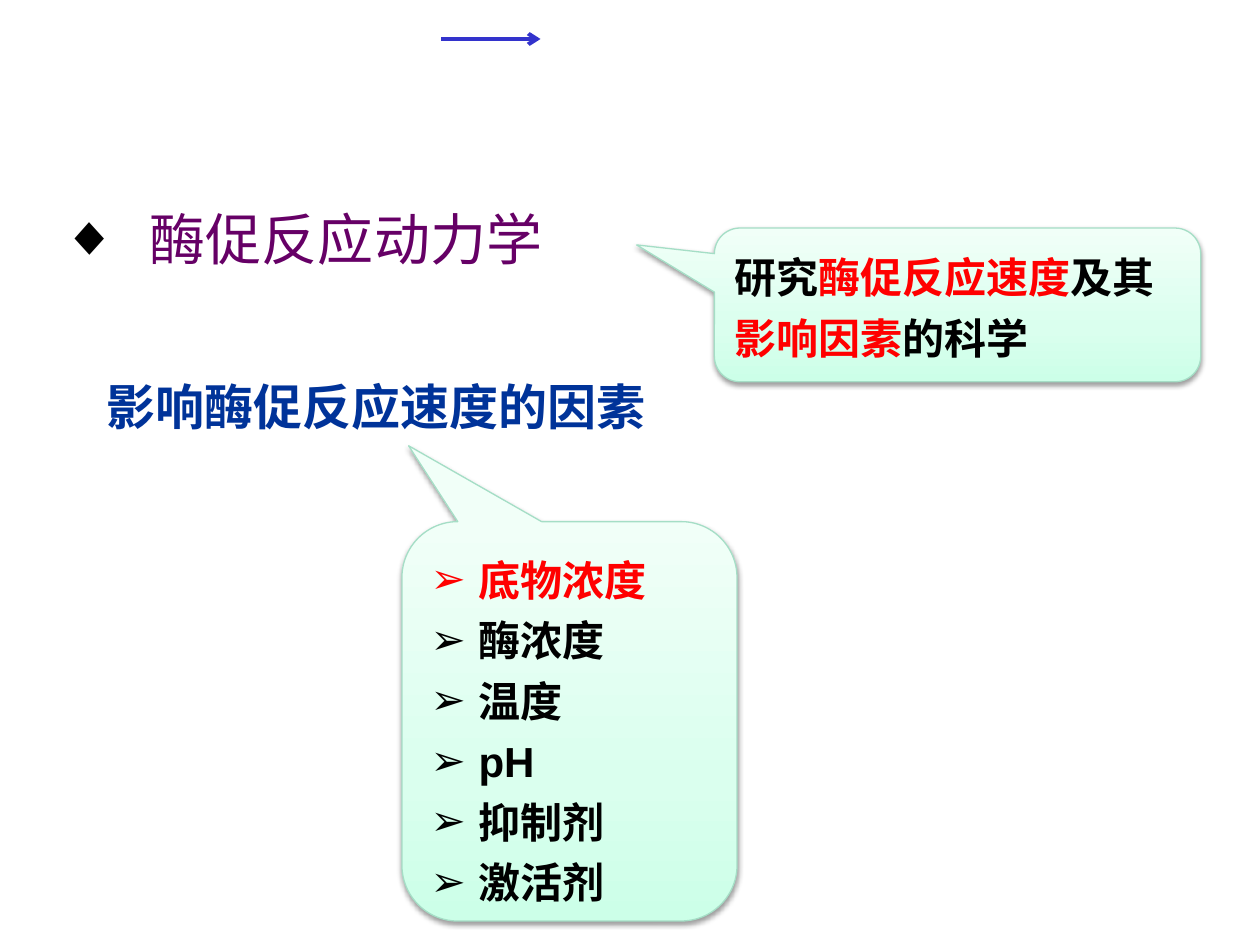
from lxml.etree import SubElement
from pptx import Presentation
from pptx.dml.color import RGBColor
from pptx.enum.shapes import MSO_CONNECTOR, MSO_SHAPE
from pptx.enum.text import MSO_ANCHOR, MSO_AUTO_SIZE, PP_ALIGN
from pptx.oxml import parse_xml
from pptx.oxml.ns import nsdecls, qn
from pptx.util import Inches, Pt

BLACK, RED, PURPLE, NAVY, BLUE = "000000", "FF0000", "660066", "003399", "3333CC"
MINT_LINE = "A5DEC6"
MINT_STOPS = [(0, "CCFFE8"), (35, "DAFFEE"), (100, "F1FFF8")]
LATIN, CJK = "Arial", "Noto Sans CJK SC"


def rgb(color):
    return RGBColor.from_string(color)


class Deck:
    """Holds the style and the current slide; lengths are percent of the slide's size."""

    def __init__(self):
        self.prs = Presentation()
        self.prs.slide_width, self.prs.slide_height = Inches(10), Inches(7.5)
        self.s = self.prs.slides.add_slide(self.prs.slide_layouts[5])

    def x(self, share):
        return round(self.prs.slide_width * share / 100)

    def y(self, share):
        return round(self.prs.slide_height * share / 100)

    def box(self, left, top, width, height):
        return self.x(left), self.y(top), self.x(width), self.y(height)

    def bullet(self, p, char, hang, color=None):
        pPr = p._p.get_or_add_pPr()
        pPr.set("marL", str(Inches(hang)))
        pPr.set("indent", str(-Inches(hang)))
        if color:
            SubElement(SubElement(pPr, qn("a:buClr")), qn("a:srgbClr"), val=color)
        SubElement(pPr, qn("a:buFont"), typeface=LATIN)
        SubElement(pPr, qn("a:buChar"), char=char)

    def run(self, p, text, size, color, bold=True, font=LATIN):
        r = p.add_run()
        r.text = text
        r.font.name, r.font.size, r.font.bold = font, Pt(size), bold
        r.font.color.rgb = rgb(color)
        SubElement(r._r.get_or_add_rPr(), qn("a:ea"), typeface=CJK)

    def heading(self, box, text):
        sp = self.s.shapes.title
        sp.left, sp.top, sp.width, sp.height = self.box(*box)
        tf = sp.text_frame
        tf.vertical_anchor, tf.auto_size = MSO_ANCHOR.TOP, MSO_AUTO_SIZE.NONE
        p = tf.paragraphs[0]
        p.alignment = PP_ALIGN.LEFT
        self.bullet(p, "◆", 0.7, BLACK)
        self.run(p, text, 32, PURPLE, bold=False, font=CJK)

    def text(self, box, text, size, color):
        tf = self.s.shapes.add_textbox(*self.box(*box)).text_frame
        tf.word_wrap = True
        self.run(tf.paragraphs[0], text, size, color)

    def arrow(self, x1, y1, x2, y2):
        c = self.s.shapes.add_connector(
            MSO_CONNECTOR.STRAIGHT, self.x(x1), self.y(y1), self.x(x2), self.y(y2))
        c.line.color.rgb, c.line.width = rgb(BLUE), Pt(2.25)
        SubElement(c.line._get_or_add_ln(), qn("a:tailEnd"), type="arrow")
        SubElement(c._element.spPr, qn("a:effectLst"))

    def callout(self, box, tip, paragraphs, char=None):
        """Mint speech bubble; each paragraph is a list of (text, color) runs."""
        sp = self.s.shapes.add_shape(MSO_SHAPE.ROUNDED_RECTANGULAR_CALLOUT, *self.box(*box))
        sp.adjustments[0], sp.adjustments[1] = tip
        sp.line.color.rgb, sp.line.width = rgb(MINT_LINE), Pt(0.75)
        self.mint_fill(sp)
        self.soft_shadow(sp)
        tf = sp.text_frame
        tf.word_wrap, tf.vertical_anchor = True, MSO_ANCHOR.TOP
        for i, runs in enumerate(paragraphs):
            p = tf.add_paragraph() if i else tf.paragraphs[0]
            p.alignment, p.line_spacing = PP_ALIGN.LEFT, 1.2
            if char:
                self.bullet(p, char, 0.38)
            for text, color in runs:
                self.run(p, text, 24, color)

    def mint_fill(self, sp):
        stops = "".join(f'<a:gs pos="{pos * 1000}"><a:srgbClr val="{color}"/></a:gs>'
                        for pos, color in MINT_STOPS)
        grad = parse_xml(f'<a:gradFill {nsdecls("a")} rotWithShape="1"><a:gsLst>{stops}</a:gsLst>'
                         '<a:lin ang="16200000" scaled="0"/></a:gradFill>')
        sp._element.spPr.find(qn("a:prstGeom")).addnext(grad)

    def soft_shadow(self, sp):
        sp._element.spPr.append(parse_xml(
            f'<a:effectLst {nsdecls("a")}><a:outerShdw blurRad="{Pt(3.1)}" dist="{Pt(1.6)}" '
            f'dir="5400000" rotWithShape="0"><a:srgbClr val="{BLACK}"><a:alpha val="38000"/>'
            '</a:srgbClr></a:outerShdw></a:effectLst>'))


def main():
    deck = Deck()
    deck.heading((3.9, 20.93, 91.4, 8.53), "酶促反应动力学")
    deck.arrow(35, 4.13, 42.9, 4.13)
    factors = ["底物浓度", "酶浓度", "温度", "pH", "抑制剂", "激活剂"]
    deck.callout((31.9, 55.2, 26.6, 42.27), (-0.48, -0.69),
                 [[(name, BLACK if i else RED)] for i, name in enumerate(factors)], char="➢")
    deck.callout((56.7, 24.13, 38.6, 16.27), (-0.66, -0.39),
                 [[("研究", BLACK), ("酶促反应速度", RED), ("及其", BLACK),
                   ("影响因素", RED), ("的科学", BLACK)]])
    deck.text((7.5, 39.2, 85.1, 7.6), "影响酶促反应速度的因素", 28, NAVY)
    deck.prs.save("out.pptx")


if __name__ == "__main__":
    main()
